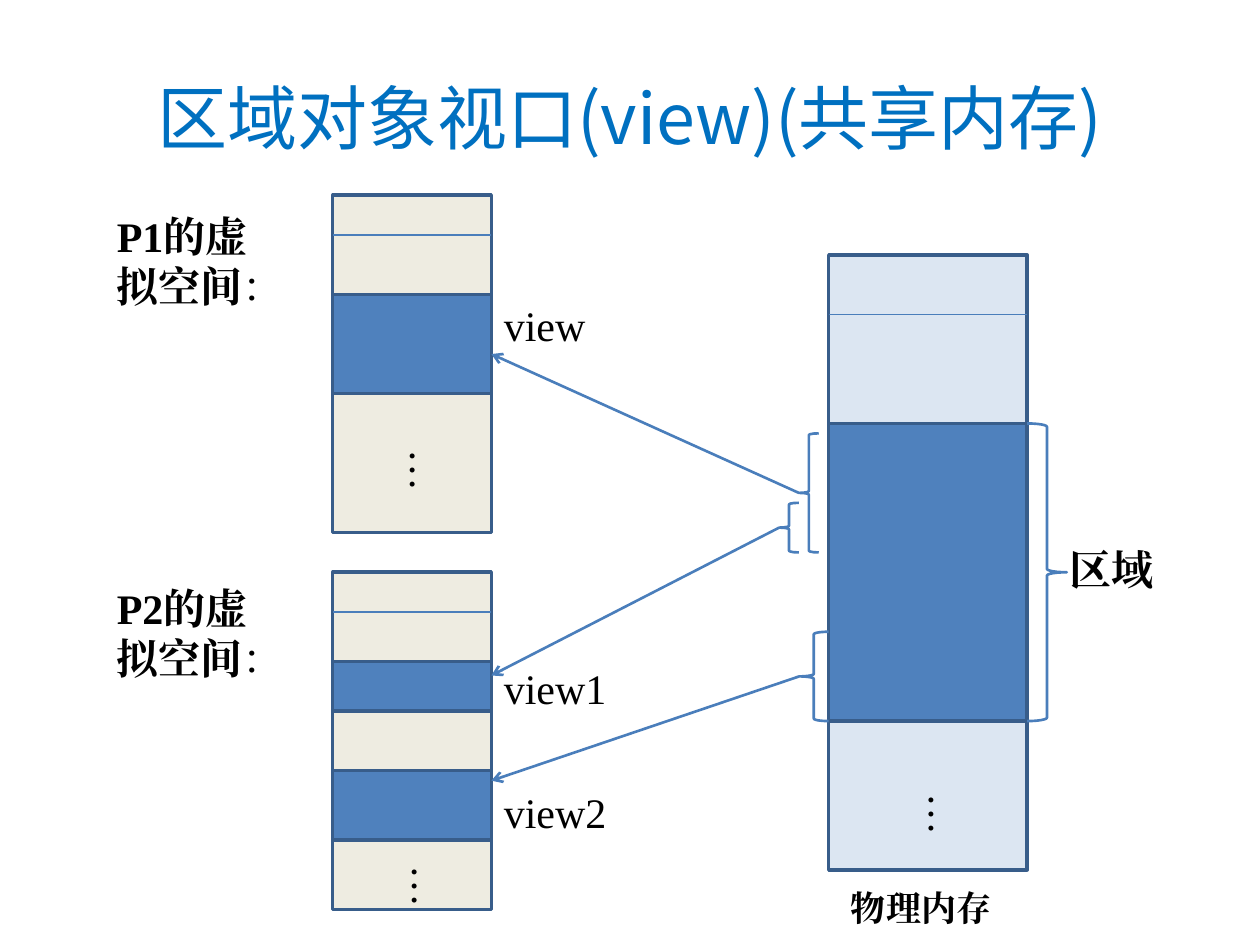
from lxml.etree import SubElement
from pptx import Presentation
from pptx.dml.color import RGBColor
from pptx.enum.shapes import MSO_CONNECTOR, MSO_SHAPE
from pptx.enum.text import MSO_ANCHOR, MSO_AUTO_SIZE, PP_ALIGN
from pptx.oxml.ns import qn
from pptx.util import Inches, Mm, Pt

COLORS = {
    name: RGBColor.from_string(value)
    for name, value in {
        "title": "0070C0", "text": "000000", "physical": "DCE6F2",
        "virtual": "EEECE1", "block": "4F81BD", "border": "385D8A",
        "line": "4A7EBB",
    }.items()
}
TITLE_FONT, BODY_FONT = "Noto Sans CJK JP", "Times New Roman"

# Grid of 2 mm cells; cell (0, 0) is the top left corner of P1's memory.
CELL = Mm(2)
GRID_LEFT, GRID_TOP = Inches(2.64), Inches(1.55)
VIRTUAL_WIDTH, PHYSICAL_LEFT, PHYSICAL_WIDTH = 16, 50, 20
P1_TOP, P2_TOP, PHYSICAL_TOP = 0, 38, 6


def grid_point(column, row):
    return int(GRID_LEFT + column * CELL), int(GRID_TOP + row * CELL)


def format_run(run, font_name, size, color, bold=False):
    """Set one font for both Latin and East Asian characters."""
    run.font.name = font_name
    run.font.size = Pt(size)
    run.font.bold = bold
    run.font.color.rgb = COLORS[color]
    SubElement(run.font._element, qn("a:ea"), typeface=font_name)


presentation = Presentation()
presentation.slide_width, presentation.slide_height = Inches(10), Inches(7.5)
slide = presentation.slides.add_slide(presentation.slide_layouts[5])
shapes = slide.shapes

title = shapes.title
title.left, title.top = Inches(0.5), Inches(0.3)
title.width, title.height = Inches(9), Inches(1.25)
title.text_frame.text = "区域对象视口(view)(共享内存)"
title.text_frame.vertical_anchor = MSO_ANCHOR.MIDDLE
title_paragraph = title.text_frame.paragraphs[0]
title_paragraph.alignment = PP_ALIGN.CENTER
format_run(title_paragraph.runs[0], TITLE_FONT, 40, "title")

# Memory columns, the mapped blocks inside them, and the braces
rectangle = MSO_SHAPE.RECTANGLE
left_brace, right_brace = MSO_SHAPE.LEFT_BRACE, MSO_SHAPE.RIGHT_BRACE
physical_right = PHYSICAL_LEFT + PHYSICAL_WIDTH
for kind, column, row, columns, rows, fill in [
    (rectangle, PHYSICAL_LEFT, PHYSICAL_TOP, PHYSICAL_WIDTH, 62, "physical"),
    (rectangle, 0, P1_TOP, VIRTUAL_WIDTH, 34, "virtual"),
    (rectangle, 0, P2_TOP, VIRTUAL_WIDTH, 34, "virtual"),
    (rectangle, PHYSICAL_LEFT, 23, PHYSICAL_WIDTH, 30, "block"),
    (rectangle, 0, 10, VIRTUAL_WIDTH, 10, "block"),
    (rectangle, 0, 47, VIRTUAL_WIDTH, 5, "block"),
    (rectangle, 0, 58, VIRTUAL_WIDTH, 7, "block"),
    (right_brace, physical_right, 23, 4, 30, None),
    (left_brace, 47, 24, 2, 12, None),
    (left_brace, 45, 31, 2, 5, None),
    (left_brace, 47, 44, 3, 9, None),
]:
    shape = shapes.add_shape(
        kind, *grid_point(column, row), columns * CELL, rows * CELL)
    shape.shadow.inherit = False
    if fill:
        shape.fill.solid()
        shape.fill.fore_color.rgb = COLORS[fill]
    else:
        shape.fill.background()
    shape.line.color.rgb = COLORS["border" if fill else "line"]
    shape.line.width = Pt(2 if fill else 1.5)

# Divider lines, then arrows from the braces to the views
for start, end, has_arrow in [
    ((PHYSICAL_LEFT, 12), (physical_right, 12), False),
    ((0, P1_TOP + 4), (VIRTUAL_WIDTH, P1_TOP + 4), False),
    ((0, P2_TOP + 4), (VIRTUAL_WIDTH, P2_TOP + 4), False),
    ((47, 30), (VIRTUAL_WIDTH, 16), True),
    ((45, 33.5), (VIRTUAL_WIDTH, 48.4), True),
    ((47, 48.5), (VIRTUAL_WIDTH, 59), True),
]:
    connector = shapes.add_connector(
        MSO_CONNECTOR.STRAIGHT, *grid_point(*start), *grid_point(*end))
    connector.line.color.rgb = COLORS["line"]
    connector.line.width = Pt(1.5 if has_arrow else 0.75)
    if has_arrow:
        SubElement(connector.line._get_or_add_ln(), qn("a:tailEnd"), type="arrow")
    SubElement(connector._element.spPr, qn("a:effectLst"))

# Labels: runs, column, row, columns, rows, size, bold
for texts, column, row, columns, rows, size, bold in [
    (["P1的虚拟空间", "："], -23, 0.9, 16, 16.5, 24, True),
    (["P2的虚拟空间", "："], -23, 38.4, 16, 16.5, 24, True),
    (["区域"], 73, 34.5, 13, 6.4, 24, True),
    (["物理内存"], 51, 69, 18, 5.6, 20, True),
    (["view"], VIRTUAL_WIDTH, 9.9, 11, 6.4, 24, False),
    (["view1"], VIRTUAL_WIDTH, 46.5, 13, 6.4, 24, False),
    (["view2"], VIRTUAL_WIDTH, 59, 13, 6.4, 24, False),
    (["…"], 5.1, 24.4, 7.6, 5.6, 24, False),
    (["…"], 5.3, 66.3, 7.6, 5.6, 24, False),
    (["…"], 57.4, 59, 7.6, 5.6, 24, False),
]:
    text_box = shapes.add_textbox(
        *grid_point(column, row), int(columns * CELL), int(rows * CELL))
    text_frame = text_box.text_frame
    text_frame.word_wrap = True
    text_frame.auto_size = MSO_AUTO_SIZE.SHAPE_TO_FIT_TEXT
    if texts == ["…"]:
        text_frame._txBody.bodyPr.set("vert", "eaVert")
        text_frame.margin_left = text_frame.margin_right = Inches(0.05)
        text_frame.margin_top = text_frame.margin_bottom = Inches(0.1)
    for text in texts:
        run = text_frame.paragraphs[0].add_run()
        run.text = text
        format_run(run, BODY_FONT, size, "text", bold and text != "：")

presentation.save("out.pptx")
